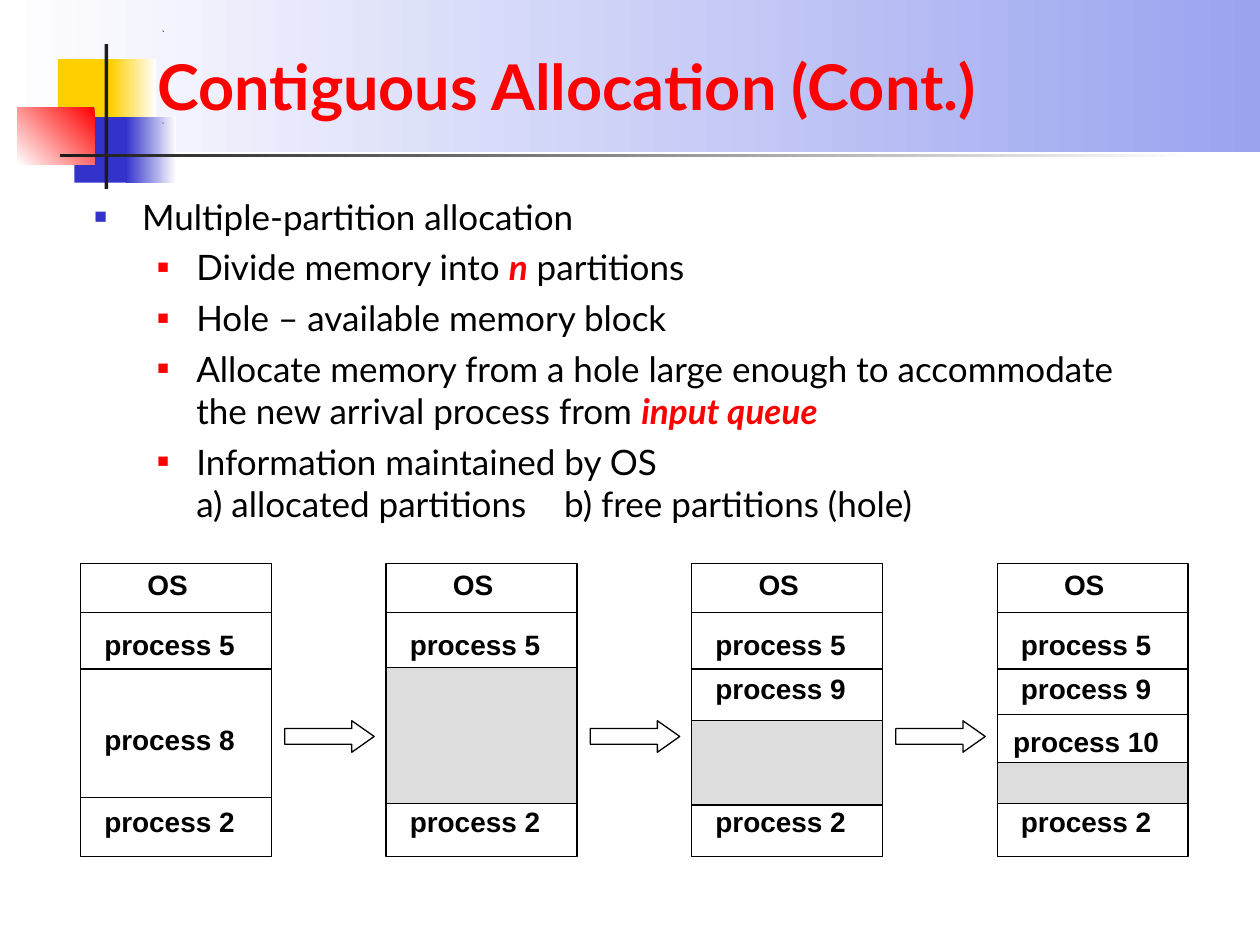
from lxml.etree import SubElement
from pptx import Presentation
from pptx.dml.color import RGBColor
from pptx.enum.shapes import MSO_CONNECTOR as Link, MSO_SHAPE as Preset
from pptx.enum.text import MSO_ANCHOR as Anchor, PP_ALIGN as Align
from pptx.oxml.ns import qn
from pptx.util import Inches, Pt

rgb = RGBColor.from_string
deck = Presentation()
deck.slide_width, deck.slide_height = Inches(10), Inches(7.5)
slide = deck.slides.add_slide(deck.slide_layouts[6])
shapes = slide.shapes
col, row = deck.slide_width / 100, deck.slide_height / 75


def block(cell, fill, end=None, angle=180, outline=None, preset=Preset.RECTANGLE):
    x, y, w, h = cell
    part = shapes.add_shape(preset, int(x * col), int(y * row), int(w * col), int(h * row))
    part.shadow.inherit = False
    if end:
        part.fill.gradient()
        part.fill.gradient_angle = angle
        for stop, color in zip(part.fill.gradient_stops, (fill, end)):
            stop.color.rgb = rgb(color)
    else:
        part.fill.solid()
        part.fill.fore_color.rgb = rgb(fill)
    if outline:
        part.line.color.rgb = rgb(outline)
        part.line.width = Pt(0.75)
    else:
        part.line.fill.background()
    return part


def write(cell, paragraphs, frame_format, font_format, color):
    x, y, w, h = cell
    box = shapes.add_textbox(int(x * col), int(y * row), int(w * col), int(h * row))
    frame = box.text_frame
    for key, value in {"word_wrap": True, **frame_format}.items():
        setattr(frame, key, value)
    for number, runs in enumerate(paragraphs):
        paragraph = frame.add_paragraph() if number else frame.paragraphs[0]
        for text, extra in runs:
            for part_number, part in enumerate(text.split("\n")):
                if part_number:
                    paragraph.add_line_break()
                run = paragraph.add_run()
                run.text = part
                for key, value in {**font_format, **extra}.items():
                    setattr(run.font, key, value)
                run.font.color.rgb = rgb("FF0000" if extra else color)
    return frame


for cell, start, end, angle in [
    ((0, 0, 100, 12.1), "9BA3EF", "FFFFFF", 180),
    ((4.6, 4.7, 4.8, 5.2), "FFCF01", None, 0),
    ((8.8, 4.7, 3.6, 5.2), "FFFFFF", "FFCF01", 180),
    ((5.9, 9.3, 4.6, 5.2), "3333CC", None, 0),
    ((10, 9.3, 4, 5.2), "FFFFFF", "3333CC", 180),
    ((1.4, 8.5, 6.1, 4.6), "FF0000", "FFFFFF", 225),
    ((8.3, 3.5, 0.3, 11.5), "1C1C1C", None, 0),
    ((4.8, 12.2, 90, 0.3), "FFFFFF", "1C1C1C", 180),
]:
    block(cell, start, end, angle)

for speck_top in (2.4, 9.7):
    outline = shapes.build_freeform(int(12.9 * col), int((speck_top + 0.1) * row))
    outline.add_line_segments([
        (int(12.9 * col), int(speck_top * row)),
        (int(13 * col), int((speck_top + 0.1) * row)),
    ])
    speck = outline.convert_to_shape()
    speck.shadow.inherit = False
    speck.fill.solid()
    speck.fill.fore_color.rgb = rgb("000000")
    speck.line.fill.background()

write((11.5, 2.5, 85.2, 7.8), [[("Contiguous Allocation (Cont.)", {})]],
      {"vertical_anchor": Anchor.BOTTOM},
      {"name": "Lato", "size": Pt(36), "bold": True}, "FF0000")

key_term = {"bold": True, "italic": True}
points = write((6.5, 15, 87.6, 28.3), [
    [("Multiple-partition allocation", {})],
    [("Divide memory into ", {}), ("n", key_term), (" partitions", {})],
    [("Hole – available memory block", {})],
    [("Allocate memory from a hole large enough to accommodate the new arrival process from ", {}),
     ("input queue", key_term)],
    [("Information maintained by OS\na) allocated partitions\tb) free partitions (hole)", {})],
], {"vertical_anchor": Anchor.TOP}, {"name": "Lato", "size": Pt(20)}, "000000")

for number, point in enumerate(points.paragraphs):
    if number:
        point.level = 1
        point.space_before = Pt(5)
    margin, hang, color, size = (8.1, 3.1, "FF0000", 55) if number else (3.8, 3.8, "3333CC", 60)
    props = point._p.get_or_add_pPr()
    props.set("marL", str(int(margin * col)))
    props.set("indent", str(int(-hang * col)))
    SubElement(SubElement(props, qn("a:buClr")), qn("a:srgbClr"), val=color)
    SubElement(props, qn("a:buSzPct"), val=str(size * 1000))
    SubElement(props, qn("a:buFont"), typeface="Arial")
    SubElement(props, qn("a:buChar"), char="■")
    if "\t" in point.text:
        stops = SubElement(props, qn("a:tabLst"))
        for stop in (37.3 - margin, 37.3):
            SubElement(stops, qn("a:tab"), pos=str(int(stop * col)), algn="l")

first, pitch, width = 6.4, 24.25, 15.15
label_frame = {"vertical_anchor": Anchor.MIDDLE}
label_font = {"name": "Arial", "size": Pt(16), "bold": True}
stages = [
    ([53.1, 63.3], None, [("process 8", 56.8)]),
    ([], (53, 10.8), []),
    ([53.1], (57.2, 6.7), [("process 9", 52.8)]),
    ([53.1, 56.7], (60.5, 3.3), [("process 9", 52.8), ("process 10", 57)]),
]
for number, (dividers, hole, jobs) in enumerate(stages):
    left = first + number * pitch
    block((left, 44.7, width, 23.3), "FFFFFF", outline="000000")
    for y in [48.6] + dividers:
        divider = shapes.add_connector(Link.STRAIGHT, int(left * col), int(y * row),
                                       int((left + width) * col), int(y * row))
        divider.line.color.rgb = rgb("000000")
        divider.line.width = Pt(0.75)
        SubElement(divider._element.spPr, qn("a:effectLst"))
    if hole:
        hole_top, hole_height = hole
        block((left, hole_top, width, hole_height), "DDDDDD", outline="000000")
    for name, y in [("OS", 44.5), ("process 5", 49.3), *jobs, ("process 2", 63.3)]:
        label_width = 13.8 if name == "OS" else 14.1
        label = write((left, y, label_width, 3.7), [[(name, {})]], label_frame, label_font, "000000")
        label.paragraphs[0].alignment = Align.CENTER
    if number < len(stages) - 1:
        arrow = block((left + 16.2, 57.2, 7.1, 2.5), "FFFFFF", outline="000000",
                      preset=Preset.RIGHT_ARROW)
        arrow.adjustments[1] = 0.71

deck.save("out.pptx")
